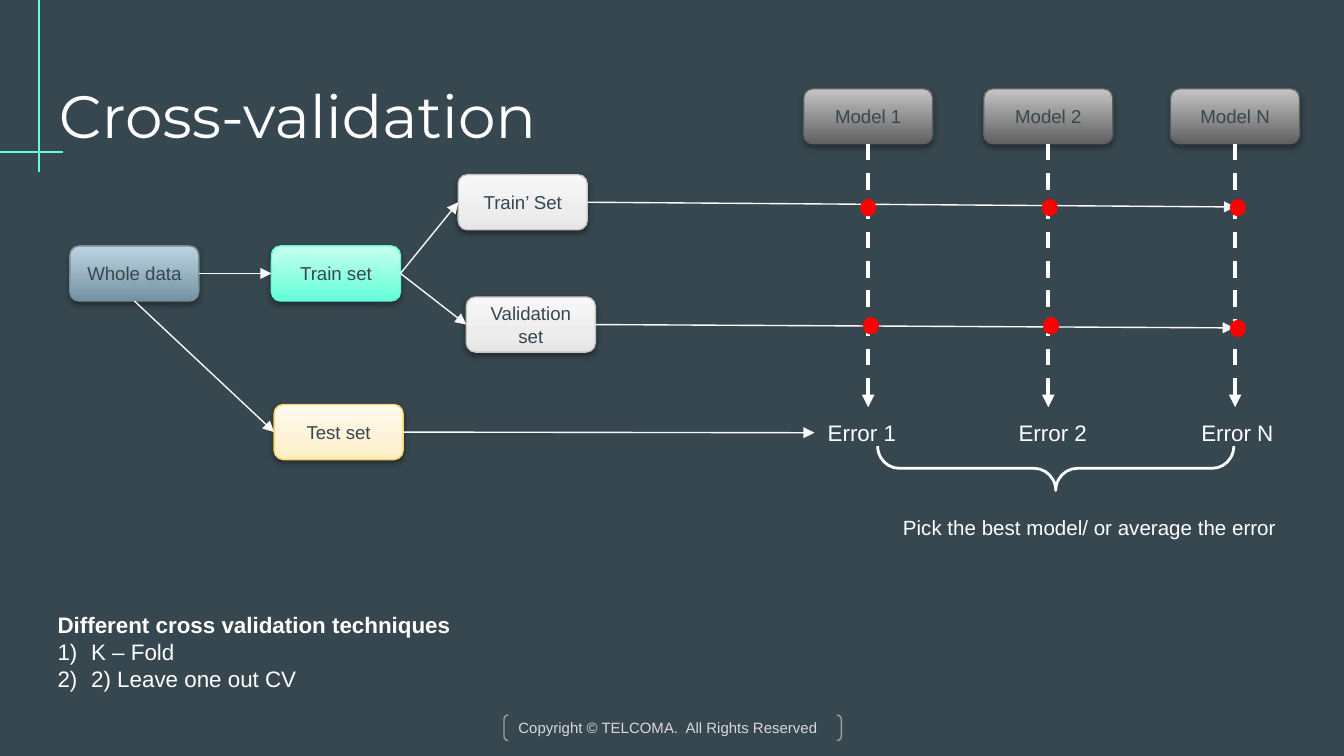
"""Build the cross-validation workflow slide."""
from copy import deepcopy
from dataclasses import dataclass
from typing import NamedTuple

from lxml.etree import SubElement
from pptx import Presentation
from pptx.dml.color import RGBColor
from pptx.enum.dml import MSO_LINE_DASH_STYLE as Dash
from pptx.enum.shapes import MSO_AUTO_SHAPE_TYPE as Shape, MSO_CONNECTOR_TYPE as Link
from pptx.enum.text import MSO_ANCHOR as Anchor, MSO_AUTO_SIZE as AutoSize, PP_ALIGN as Align
from pptx.oxml.ns import qn
from pptx.util import Inches, Pt


class BoxStyle(NamedTuple):
    stops: tuple[tuple[float, str], ...]
    line: str
    shadow_alpha: int
    shadow_distance: float


@dataclass(frozen=True)
class Theme:
    background: str = "37474F"
    ink: str = "FFFFFF"
    arrow: str = "F9F9F9"
    accent: str = "64FFDA"
    dot: str = "FF0000"
    bracket: str = "9E9E9E"
    footer: str = "D9D9D9"
    heading_font: str = "Montserrat"
    body_font: str = "Arial"
    title_size: int = 32
    body_size: int = 12
    result_size: int = 11
    box_size: int = 10
    footer_size: int = 8
    thin: float = 0.75
    brace_width: float = 1.5
    thick: float = 2.25
    whole: BoxStyle = BoxStyle(((0, "7392A1"), (1, "BDD5E2")), "748D99", 35, 1.8)
    train: BoxStyle = BoxStyle(((0, "64FFDA"), (1, "C6FFED")), "5EFDD7", 35, 1.8)
    test: BoxStyle = BoxStyle(((0, "FFEDC6"), (0.35, "FFF2D7"), (1, "FFFAF0")), "FDD660", 38, 1.6)
    split: BoxStyle = BoxStyle(((0, "E6E6E6"), (0.35, "EDEDED"), (1, "F8F8F8")), "C6C6C6", 38, 1.6)
    model: BoxStyle = BoxStyle(((0, "616161"), (1, "C5C5C5")), "5F5F5F", 35, 1.8)


class Box(NamedTuple):
    label: str
    left: float
    top: float
    style: BoxStyle


class Model(NamedTuple):
    suffix: str
    left: float
    error_left: float
    error_width: float
    train_dot: tuple[float, float]
    validation_dot: tuple[float, float]


THEME = Theme()
BOX_WIDTH, BOX_HEIGHT, MODEL_TOP, DASH_END = 0.96, 0.41, 0.66, 3.03
TOP, LEFT, BOTTOM, RIGHT = range(4)

BOXES = (
    Box("Whole data", 0.52, 1.83, THEME.whole),
    Box("Train set", 2.02, 1.83, THEME.train),
    Box("Test set", 2.04, 3.01, THEME.test),
    Box("Train’ Set", 3.41, 1.3, THEME.split),
    Box("Validation set", 3.47, 2.21, THEME.split),
)
MODELS = (
    Model("1", 5.98, 6.06, 0.72, (6.4, 1.48), (6.42, 2.36)),
    Model("2", 7.32, 7.48, 0.72, (7.75, 1.48), (7.76, 2.36)),
    Model("N", 8.71, 8.84, 0.74, (9.15, 1.48), (9.15, 2.38)),
)
BRANCHES = (
    ("Whole data", RIGHT, "Train set"),
    ("Whole data", BOTTOM, "Test set"),
    ("Train set", RIGHT, "Train’ Set"),
    ("Train set", RIGHT, "Validation set"),
)
FLOWS = (
    ("Validation set", (9.18, 2.44)),
    ("Train’ Set", (9.19, 1.54)),
    ("Test set", (6.06, 3.22)),
)


def rgb(value: str) -> RGBColor:
    """Turn a hex value into a colour."""
    return RGBColor.from_string(value)


def write(paragraph, text: str, size: float, color: str, **formats) -> None:
    """Fill a paragraph with one formatted run."""
    run = paragraph.add_run()
    run.text = text
    for name, value in ({"name": THEME.body_font, "size": Pt(size)} | formats).items():
        setattr(run.font, name, value)
    run.font.color.rgb = rgb(color)


def set_frame(frame, **formats) -> None:
    """Apply format values to a text frame."""
    for name, value in formats.items():
        setattr(frame, name, value)


def insets() -> dict:
    """Return equal margins for all four sides."""
    return {f"margin_{side}": Inches(0.1) for side in ("left", "top", "right", "bottom")}


def set_line(line, color: str, width: float) -> None:
    """Colour and size an outline."""
    line.color.rgb = rgb(color)
    line.width = Pt(width)


def add_preset(slide, kind, left: float, top: float, width: float, height: float):
    """Add a preset shape without shadow or fill."""
    shape = slide.shapes.add_shape(kind, *map(Inches, (left, top, width, height)))
    shape.shadow.inherit = False
    shape.fill.background()
    return shape


def add_box(slide, box: Box):
    """Add a labelled gradient box with a soft shadow."""
    style = box.style
    shape = add_preset(slide, Shape.ROUNDED_RECTANGLE, box.left, box.top, BOX_WIDTH, BOX_HEIGHT)
    shape.fill.gradient()
    shape.fill.gradient_angle = 90
    properties = shape._element.spPr
    stop_list = properties.find(".//" + qn("a:gsLst"))
    for _ in style.stops[2:]:
        stop_list.append(deepcopy(stop_list[0]))
    for stop, (position, color) in zip(shape.fill.gradient_stops, style.stops):
        stop.position = position
        stop.color.rgb = rgb(color)
    set_line(shape.line, style.line, THEME.thin)
    shadow = SubElement(
        properties.find(qn("a:effectLst")), qn("a:outerShdw"), blurRad=str(Pt(3.1)),
        dist=str(Pt(style.shadow_distance)), dir="5400000", rotWithShape="0")
    shade = SubElement(shadow, qn("a:srgbClr"), val="000000")
    SubElement(shade, qn("a:alpha"), val=str(style.shadow_alpha * 1000))
    set_frame(shape.text_frame, word_wrap=True, vertical_anchor=Anchor.MIDDLE)
    paragraph = shape.text_frame.paragraphs[0]
    paragraph.alignment = Align.CENTER
    write(paragraph, box.label, THEME.box_size, THEME.background)
    return shape


def add_line(slide, start, end, color: str, width: float = THEME.thin, arrow: bool = True):
    """Add a straight line, with an arrowhead at its end if wanted."""
    line = slide.shapes.add_connector(Link.STRAIGHT, *map(Inches, (*start, *end)))
    set_line(line.line, color, width)
    if arrow:
        SubElement(line._element.spPr.find(qn("a:ln")), qn("a:tailEnd"), type="triangle")
    SubElement(line._element.spPr, qn("a:effectLst"))
    return line


def add_text(slide, left: float, top: float, width: float, height: float, **formats):
    """Add a text box and return its frame."""
    frame = slide.shapes.add_textbox(*map(Inches, (left, top, width, height))).text_frame
    set_frame(frame, **({"word_wrap": False, "auto_size": AutoSize.SHAPE_TO_FIT_TEXT} | formats))
    return frame


def add_model(slide, model: Model) -> None:
    """Add a model box, its dashed arrow and its error label."""
    box = add_box(slide, Box(f"Model {model.suffix}", model.left, MODEL_TOP, THEME.model))
    center = model.left + BOX_WIDTH / 2
    arrow = add_line(slide, (center, MODEL_TOP + BOX_HEIGHT), (center, DASH_END), THEME.ink, THEME.thick)
    arrow.line.dash_style = Dash.DASH
    arrow.begin_connect(box, BOTTOM)
    error = add_text(slide, model.error_left, 3.07, model.error_width, 0.3)
    write(error.paragraphs[0], f"Error {model.suffix}", THEME.body_size, THEME.ink)


def add_techniques(slide) -> None:
    """Add the numbered list of techniques under its heading."""
    frame = add_text(slide, 0.33, 4.5, 3.16, 0.71)
    write(frame.paragraphs[0], "Different cross validation techniques", THEME.body_size, THEME.ink, bold=True)
    for technique in ("K – Fold", "2) Leave one out CV"):
        paragraph = frame.add_paragraph()
        properties = paragraph._p.get_or_add_pPr()
        properties.set("marL", str(Inches(0.25)))
        properties.set("indent", str(Inches(-0.25)))
        SubElement(properties, qn("a:buAutoNum"), type="arabicParenR")
        write(paragraph, technique, THEME.body_size, THEME.ink)


def main() -> None:
    """Assemble and save the slide."""
    deck = Presentation()
    deck.slide_width, deck.slide_height = Inches(10), Inches(10 * 9 / 16)
    slide = deck.slides.add_slide(deck.slide_layouts[6])
    slide.background.fill.solid()
    slide.background.fill.fore_color.rgb = rgb(THEME.background)

    footer = add_preset(slide, Shape.DOUBLE_BRACKET, 3.75, 5.32, 2.51, 0.19)
    set_line(footer.line, THEME.bracket, THEME.thin)
    set_frame(footer.text_frame, word_wrap=True, vertical_anchor=Anchor.MIDDLE, **insets())
    footer.text_frame.paragraphs[0].alignment = Align.LEFT
    write(footer.text_frame.paragraphs[0], "Copyright © TELCOMA.  All Rights Reserved", THEME.footer_size, THEME.footer)

    title = add_text(slide, 0.34, 0.49, 9.32, 0.63, word_wrap=True, auto_size=AutoSize.NONE, **insets())
    write(title.paragraphs[0], "Cross-validation", THEME.title_size, THEME.ink, name=THEME.heading_font)
    for start, end in (((0.29, -0.19), (0.29, 1.28)), ((-1, 1.13), (0.47, 1.13))):
        add_line(slide, start, end, THEME.accent, arrow=False)

    sets = {box.label: add_box(slide, box) for box in BOXES}
    for model in MODELS:
        add_model(slide, model)
    for source, side, target in BRANCHES:
        branch = add_line(slide, (0, 0), (1, 1), THEME.arrow)
        branch.begin_connect(sets[source], side)
        branch.end_connect(sets[target], LEFT)
    for source, end in FLOWS:
        add_line(slide, (0, 0), end, THEME.arrow).begin_connect(sets[source], RIGHT)
    for model in MODELS:
        for left, top in (model.train_dot, model.validation_dot):
            dot = add_preset(slide, Shape.OVAL, left, top, 0.12, 0.13)
            dot.fill.solid()
            dot.fill.fore_color.rgb = rgb(THEME.dot)
            dot.line.fill.background()

    result = add_text(slide, 6.62, 3.78, 2.99, 0.29)
    write(result.paragraphs[0], "Pick the best model/ or average the error", THEME.result_size, THEME.ink)
    add_techniques(slide)
    brace = add_preset(slide, Shape.RIGHT_BRACE, 7.69, 2.16, 0.33, 2.65)
    brace.rotation = 90
    brace.adjustments[0] = 0.487
    set_line(brace.line, THEME.ink, THEME.brace_width)
    deck.save("out.pptx")


if __name__ == "__main__":
    main()
